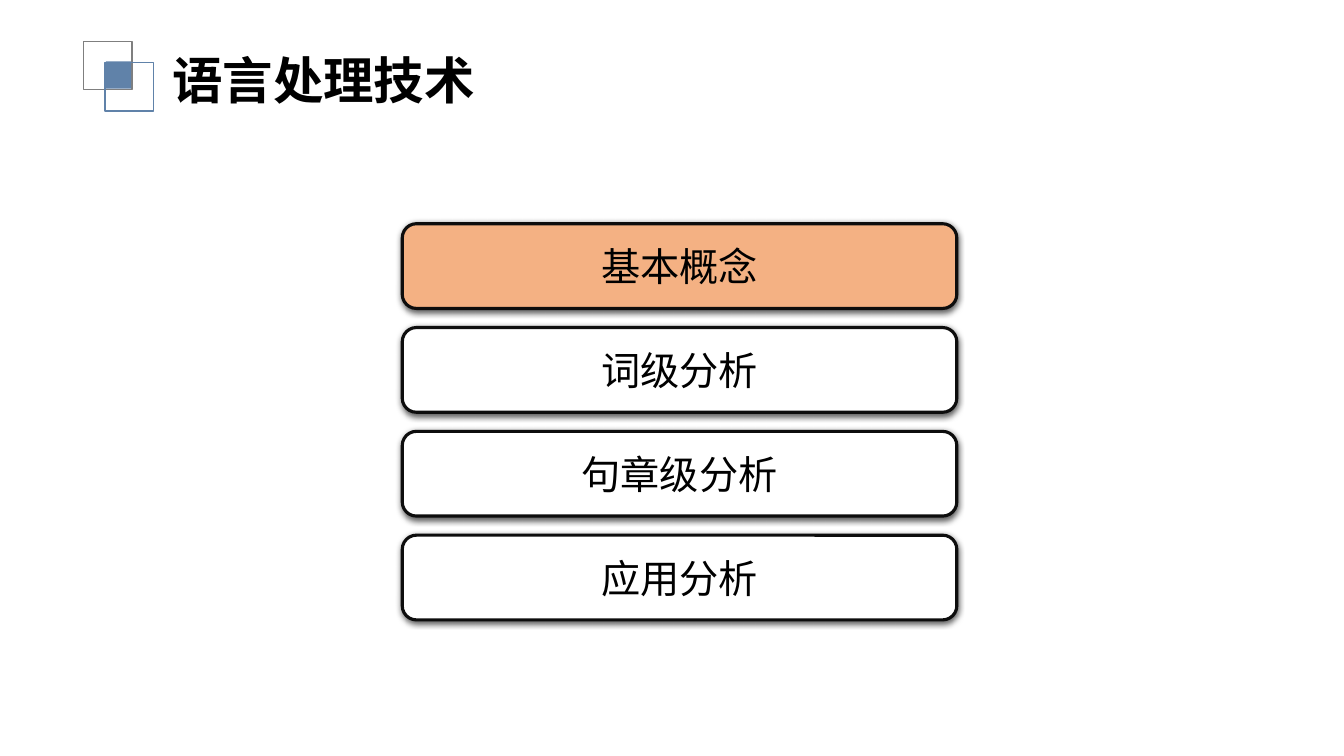
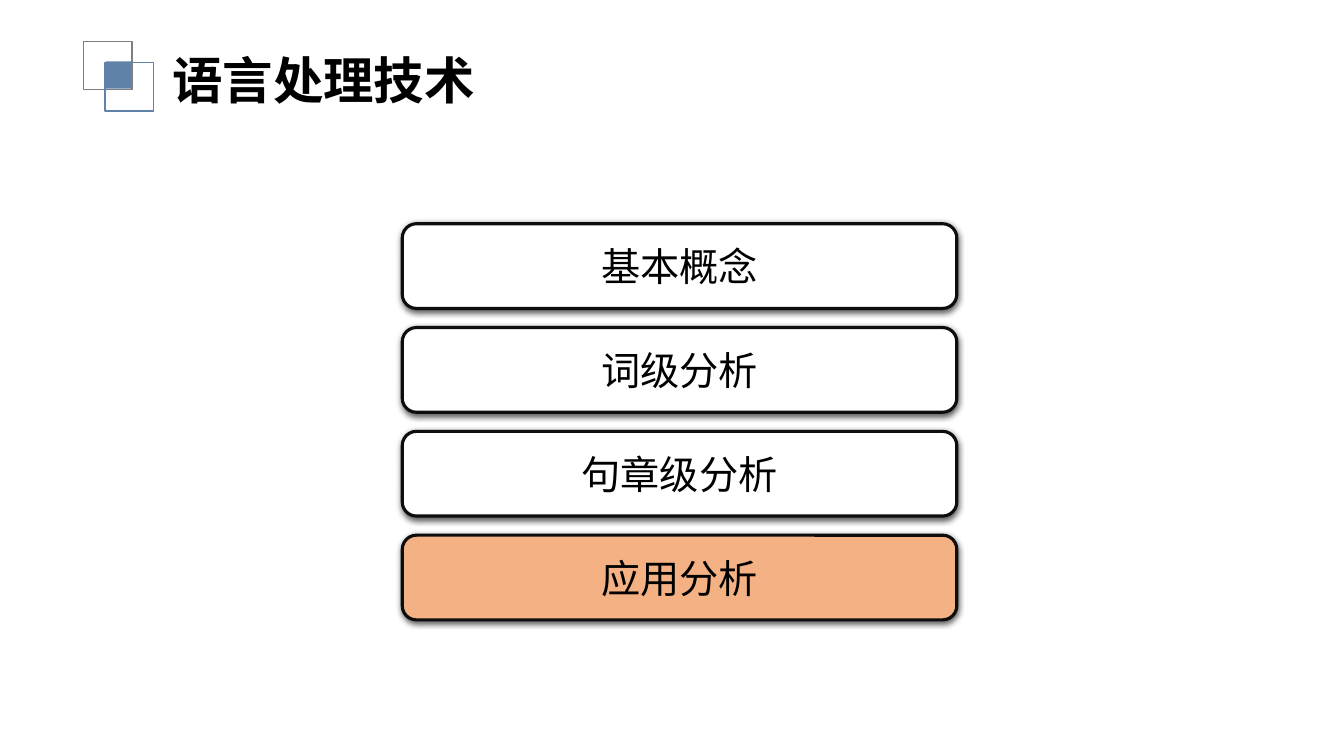
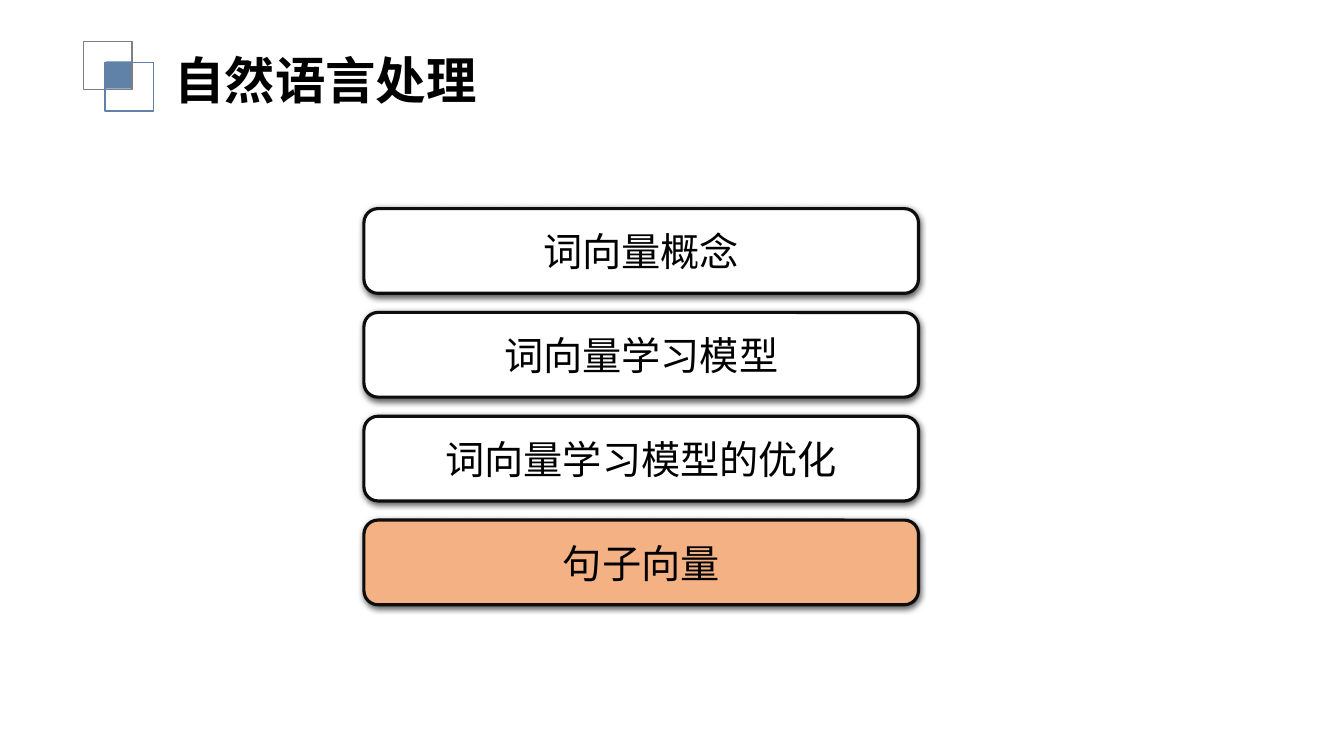
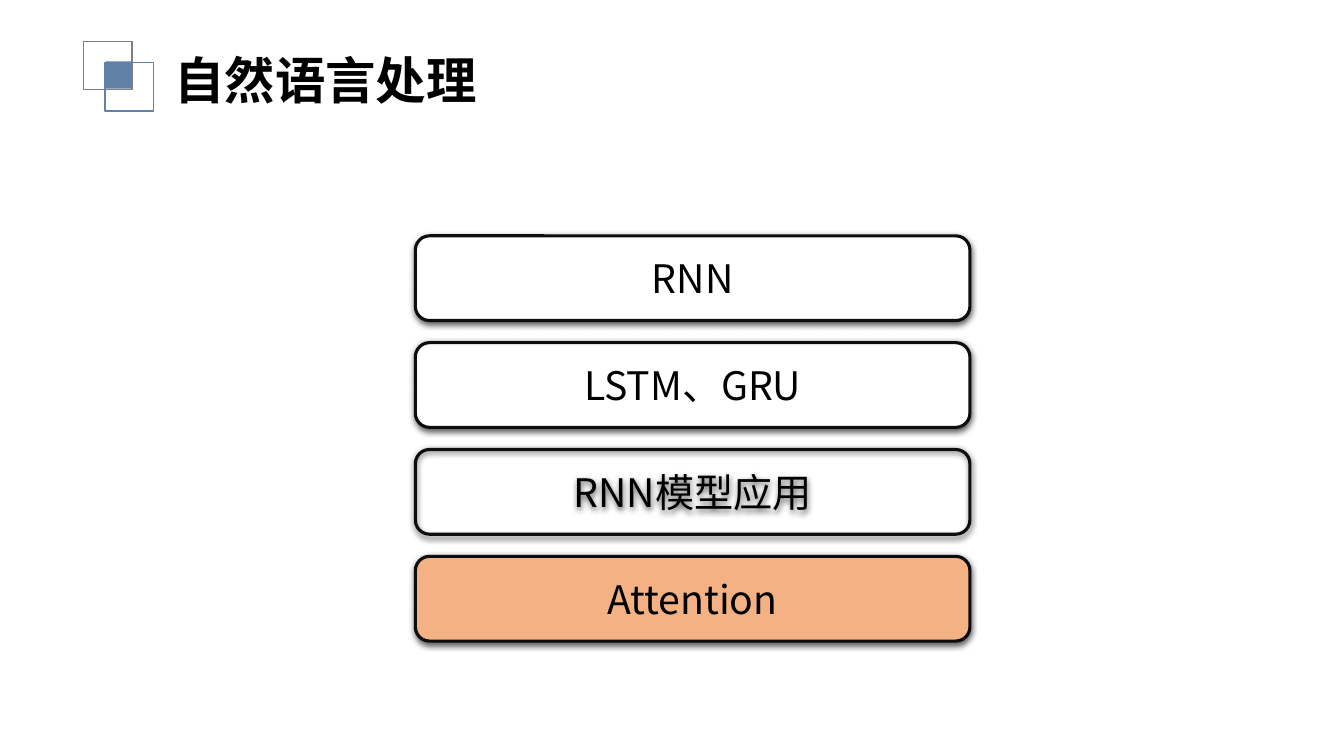
from lxml import etree
from pptx import Presentation
from pptx.dml.color import RGBColor
from pptx.enum.shapes import MSO_SHAPE
from pptx.enum.text import MSO_ANCHOR, MSO_AUTO_SIZE, PP_ALIGN
from pptx.oxml.ns import qn
from pptx.util import Inches, Pt

RECT = MSO_SHAPE.RECTANGLE
ROUNDED = MSO_SHAPE.ROUNDED_RECTANGLE
CENTER = PP_ALIGN.CENTER
MIDDLE = MSO_ANCHOR.MIDDLE
GROW = MSO_AUTO_SIZE.SHAPE_TO_FIT_TEXT

# Shared look
FONT = "Noto Sans CJK SC"
BLACK, WHITE, INK = "000000", "FFFFFF", "0D0D0D"
BLUE, GRAY, ORANGE = "6082A9", "7F7F7F", "F4B183"
TITLE_FORMAT = {"name": FONT, "size": Pt(36), "bold": True}
ITEM_FORMAT = {"name": FONT, "size": Pt(28), "bold": False}
ITEM_W, ITEM_H = 5.5, 0.84

TECHNIQUES = ["基本概念", "词级分析", "句章级分析", "应用分析"]
VECTORS = ["词向量概念", "词向量学习模型", "词向量学习模型的优化", "句子向量"]
NETWORKS = ["RNN", "LSTM、GRU", "RNN模型应用", "Attention"]

# title, title left and width, items, active item, unfilled item, list left, top, pitch
SLIDES = [
    ("语言处理技术", 1.61, 3.64, TECHNIQUES, 0, None, 3.99, 2.22, 1.03),
    ("语言处理技术", 1.61, 3.64, TECHNIQUES, 3, None, 3.99, 2.22, 1.03),
    ("自然语言处理", 1.63, 5.24, VECTORS, 3, None, 3.61, 2.07, 1.03),
    ("自然语言处理", 1.63, 5.24, NETWORKS, 3, 2, 4.12, 2.34, 1.06),
]


def rgb(color):
    return RGBColor.from_string(color)


def add_box(s, kind, x, y, w, h, fill=None, line=None, line_width=1):
    sp = s.shapes.add_shape(kind, Inches(x), Inches(y), Inches(w), Inches(h))
    sp.shadow.inherit = False
    if fill:
        sp.fill.solid()
        sp.fill.fore_color.rgb = rgb(fill)
    else:
        sp.fill.background()
    if line:
        sp.line.color.rgb = rgb(line)
        sp.line.width = Pt(line_width)
    else:
        sp.line.fill.background()
    return sp


def add_shadow(sp):
    effects = sp._element.spPr.find(qn("a:effectLst"))
    shadow = etree.SubElement(
        effects, qn("a:outerShdw"), blurRad=str(Pt(4.5)), dist=str(Pt(1.5)),
        dir="5400000", algn="ctr", rotWithShape="0")
    color = etree.SubElement(shadow, qn("a:srgbClr"), val=BLACK)
    etree.SubElement(color, qn("a:alpha"), val="63000")


def write(tf, text, formats, align=None):
    tf.word_wrap = True
    p = tf.paragraphs[0]
    p.alignment = align
    r = p.add_run()
    r.text = text
    for name, value in formats.items():
        setattr(r.font, name, value)
    r.font.color.rgb = rgb(BLACK)
    # East Asian characters take their typeface from a:ea
    etree.SubElement(r.font._element, qn("a:ea"), typeface=FONT)


def add_title(s, text, x, w):
    # Overlapping squares beside the title
    add_box(s, RECT, 0.83, 0.41, 0.48, 0.48, line=GRAY)
    add_box(s, RECT, 1.04, 0.62, 0.48, 0.48, line=BLUE)
    add_box(s, RECT, 1.05, 0.61, 0.25, 0.27, fill=BLUE)
    sp = s.shapes.add_textbox(Inches(x), Inches(0.44), Inches(w), Inches(0.71))
    write(sp.text_frame, text, TITLE_FORMAT)
    sp.text_frame.auto_size = GROW


def add_agenda(s, items, active, unfilled, x, top, pitch):
    fills = {active: ORANGE, unfilled: None}
    for i, text in enumerate(items):
        sp = add_box(s, ROUNDED, x, top + i * pitch, ITEM_W, ITEM_H,
                     fills.get(i, WHITE), INK, 2.25)
        add_shadow(sp)
        sp.text_frame.vertical_anchor = MIDDLE
        write(sp.text_frame, text, ITEM_FORMAT, CENTER)


def main():
    prs = Presentation()
    prs.slide_width, prs.slide_height = Inches(13.33), Inches(7.5)
    for title, title_x, title_w, *agenda in SLIDES:
        s = prs.slides.add_slide(prs.slide_layouts[6])
        add_title(s, title, title_x, title_w)
        add_agenda(s, *agenda)
    prs.save("out.pptx")


if __name__ == "__main__":
    main()
